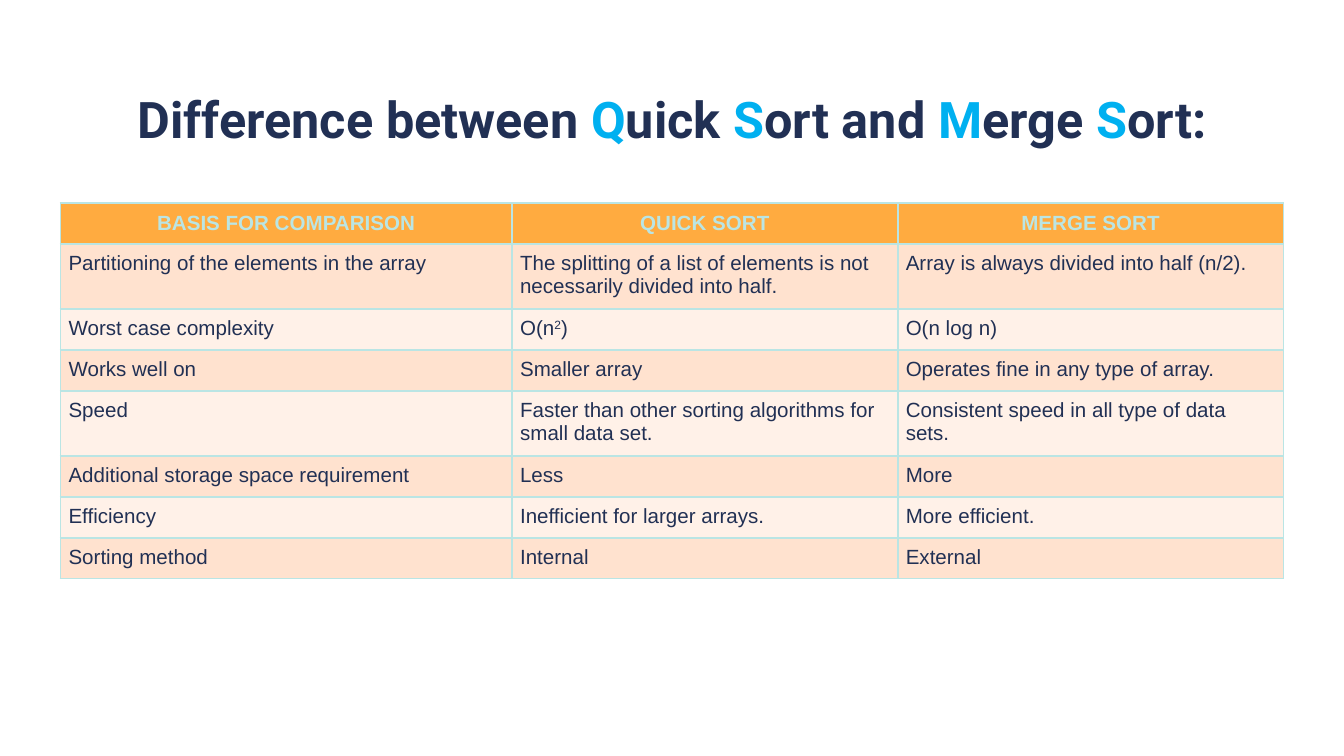
import pptx
import pptx.util
import pptx.dml.color
import pptx.enum.text
import pptx.oxml.ns
from lxml import etree

Inches = pptx.util.Inches
Pt = pptx.util.Pt
ALIGN = pptx.enum.text.PP_ALIGN
ANCHOR = pptx.enum.text.MSO_ANCHOR

TITLE = ["Difference between ", "Q", "uick ", "S", "ort and ", "M", "erge ", "S", "ort:"]
HEADER = ["BASIS FOR COMPARISON", "QUICK SORT", "MERGE SORT"]
ROWS = [
    ["Partitioning of the elements in the array",
     "The splitting of a list of elements is not necessarily divided into half.",
     "Array is always divided into half (n/2)."],
    ["Worst case complexity", ("O(n", "2", ")"), "O(n log n)"],
    ["Works well on", "Smaller array", "Operates fine in any type of array."],
    ["Speed", "Faster than other sorting algorithms for small data set.",
     "Consistent speed in all type of data sets."],
    ["Additional storage space requirement", "Less", "More"],
    ["Efficiency", "Inefficient for larger arrays.", "More efficient."],
    ["Sorting method", "Internal", "External"],
]
COL_WIDTHS = [3.36, 2.87, 2.87]
ROW_HEIGHTS = [0.3, 0.47, 0.3, 0.3, 0.47, 0.3, 0.3, 0.3]

THEME = {
    "navy": "213054", "accent": "00B0F0", "line": "BAE5E4",
    "header": "FFAB40", "bands": ["FFE2CF", "FFF1E8"],
    "title_font": "Roboto", "body_font": "Arial",
    "title_size": 27, "body_size": 11, "line_width": 1,
}


def rgb(name):
    return pptx.dml.color.RGBColor.from_string(name)


def set_margins(box, inset):
    box.margin_left = box.margin_right = Inches(inset)
    box.margin_top = box.margin_bottom = Inches(inset)


def set_font(p, name, size, bold, color):
    p.font.name = name
    p.font.size = Pt(size)
    p.font.bold = bold
    p.font.color.rgb = rgb(color)


def set_borders(cell):
    tc_pr = cell._tc.get_or_add_tcPr()
    for i, side in enumerate("LRTB"):
        ln = etree.Element(pptx.oxml.ns.qn("a:ln" + side), w=str(Pt(THEME["line_width"])))
        fill = etree.SubElement(ln, pptx.oxml.ns.qn("a:solidFill"))
        etree.SubElement(fill, pptx.oxml.ns.qn("a:srgbClr"), val=THEME["line"])
        tc_pr.insert(i, ln)


def add_title(s):
    tf = s.shapes.add_textbox(Inches(0.69), Inches(0.33), Inches(8.62), Inches(1.1)).text_frame
    tf.word_wrap = True
    tf.vertical_anchor = ANCHOR.MIDDLE
    set_margins(tf, 0.1)
    p = tf.paragraphs[0]
    p.alignment = ALIGN.CENTER
    set_font(p, THEME["title_font"], THEME["title_size"], True, THEME["navy"])
    for i, text in enumerate(TITLE):
        r = p.add_run()
        r.text = text
        r.font.color.rgb = rgb(THEME["accent" if i % 2 else "navy"])


def fill_cell(cell, content, row):
    is_header = row == 0
    set_margins(cell, 0.06)
    cell.vertical_anchor = ANCHOR.MIDDLE if is_header else ANCHOR.TOP
    cell.fill.solid()
    cell.fill.fore_color.rgb = rgb(THEME["header"] if is_header else THEME["bands"][(row - 1) % 2])
    set_borders(cell)
    p = cell.text_frame.paragraphs[0]
    p.alignment = ALIGN.CENTER if is_header else ALIGN.LEFT
    set_font(p, THEME["body_font"], THEME["body_size"], is_header,
             THEME["line" if is_header else "navy"])
    parts = (content,) if isinstance(content, str) else content
    for i, text in enumerate(parts):
        r = p.add_run()
        r.text = text
        if i % 2:
            r._r.get_or_add_rPr().set("baseline", "30000")


def add_comparison(s):
    rows = [HEADER] + ROWS
    table = s.shapes.add_table(len(rows), len(HEADER), Inches(0.45), Inches(1.51),
                               Inches(sum(COL_WIDTHS)), Inches(sum(ROW_HEIGHTS))).table
    table.first_row = table.horz_banding = False
    for column, width in zip(table.columns, COL_WIDTHS):
        column.width = Inches(width)
    for i, (height, contents) in enumerate(zip(ROW_HEIGHTS, rows)):
        table.rows[i].height = Inches(height)
        for j, content in enumerate(contents):
            fill_cell(table.cell(i, j), content, i)


def main():
    prs = pptx.Presentation()
    prs.slide_width = Inches(10)
    prs.slide_height = Inches(10 * 9 / 16)
    s = prs.slides.add_slide(prs.slide_layouts[6])
    add_title(s)
    add_comparison(s)
    prs.save("out.pptx")


if __name__ == "__main__":
    main()
